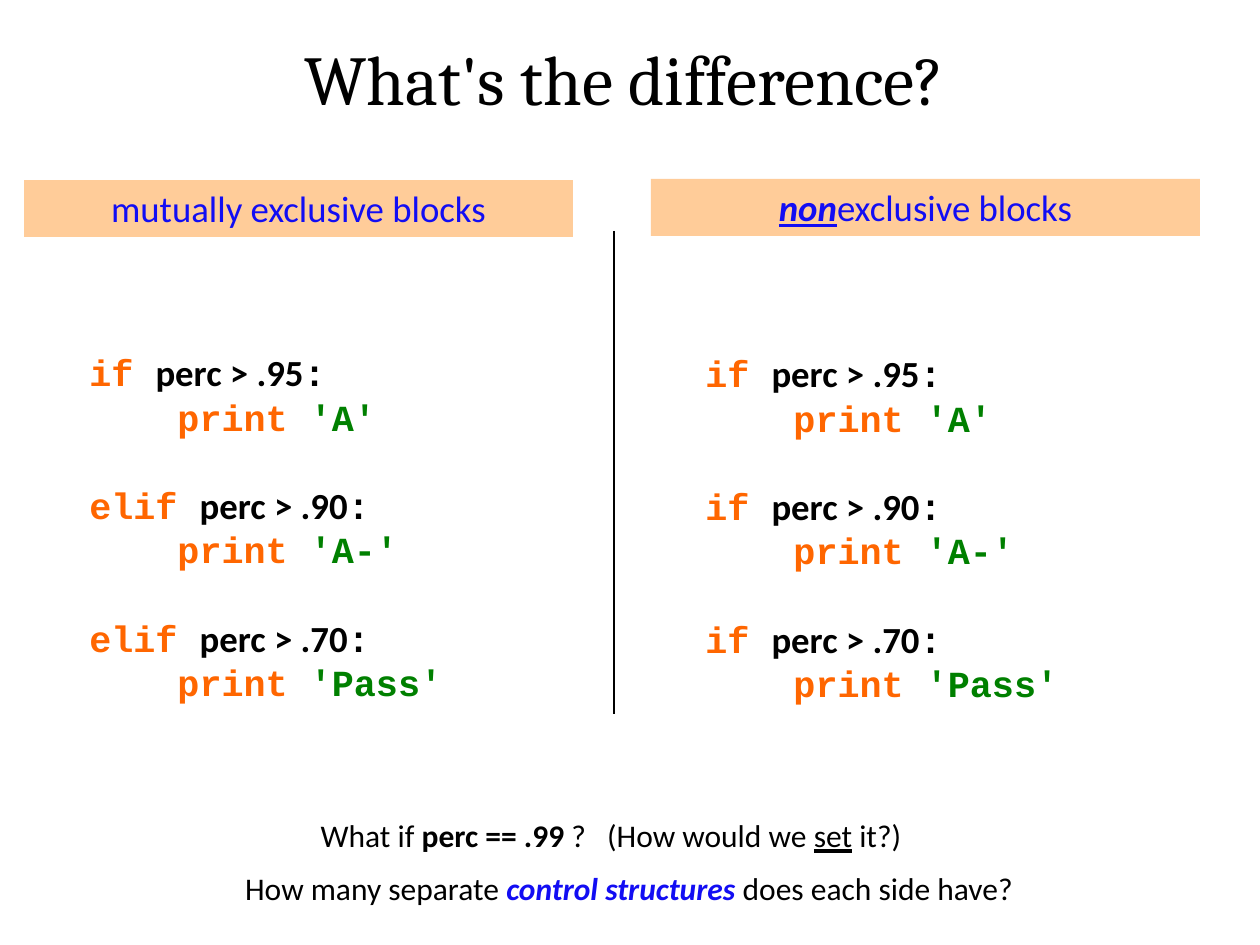
from lxml import etree
from pptx import Presentation
from pptx import util as u
from pptx.dml.color import RGBColor
from pptx.enum import shapes, text
from pptx.oxml import ns

PX_PER_INCH = 126
COLORS = {"black": "000000", "blue": "120DF3", "keyword": "FF6600",
          "string": "008000", "bar": "FFCC99"}
BODY, HEADING, CODE = "Calibri", "Cambria", "Courier New"


def px(length):
    return u.Inches(length / PX_PER_INCH)


def rgb(name):
    return RGBColor.from_string(COLORS[name])


class SlideBuilder:
    def __init__(self, deck):
        self.slide = deck.slides.add_slide(deck.slide_layouts[5])

    def style(self, font, size=None, face=None, color=None, bold=None,
              italic=None, underline=None):
        if size:
            font.size = u.Pt(size)
        if face:
            font.name = face
        if color:
            font.color.rgb = rgb(color)
        font.bold, font.italic, font.underline = bold, italic, underline

    def add_spans(self, para, spans):
        """Add (words, font changes) spans; "spacing" is in hundredths of a point."""
        for words, changes in spans:
            span = para.add_run()
            span.text = words
            changes = dict(changes)
            spacing = changes.pop("spacing", None)
            self.style(span.font, **changes)
            if spacing:
                span._r.get_or_add_rPr().set("spc", str(spacing))

    def title(self, words, left, top, width, height):
        box = self.slide.shapes.title
        box.left, box.top, box.width, box.height = map(px, (left, top, width, height))
        frame = box.text_frame
        frame.text = words
        frame.vertical_anchor = text.MSO_ANCHOR.TOP
        para = frame.paragraphs[0]
        para.alignment = text.PP_ALIGN.CENTER
        self.style(para.font, 40, HEADING, "black")

    def centered(self, frame, spans, size, color):
        frame.word_wrap = True
        frame.vertical_anchor = text.MSO_ANCHOR.TOP
        para = frame.paragraphs[0]
        para.alignment = text.PP_ALIGN.CENTER
        self.style(para.font, size, BODY, color)
        self.add_spans(para, spans)

    def bar(self, spans, left, top, width=549, height=57):
        box = self.slide.shapes.add_shape(
            shapes.MSO_SHAPE.RECTANGLE, *map(px, (left, top, width, height)))
        box.shadow.inherit = False
        box.fill.solid()
        box.fill.fore_color.rgb = rgb("bar")
        box.line.fill.background()
        self.centered(box.text_frame, spans, 21, "blue")

    def question(self, spans, left, top, width=1090, height=50):
        box = self.slide.shapes.add_textbox(*map(px, (left, top, width, height)))
        self.centered(box.text_frame, spans, 18, "black")

    def code(self, branches, left, top, width=479, height=369):
        """Add each (keyword, condition, output) branch as two lines of code."""
        box = self.slide.shapes.add_textbox(*map(px, (left, top, width, height)))
        frame = box.text_frame
        frame.word_wrap = True
        for index, (keyword, condition, output) in enumerate(branches):
            test = frame.add_paragraph() if index else frame.paragraphs[0]
            if index:
                test.space_before = u.Pt(25.5)
            action = frame.add_paragraph()
            for para in (test, action):
                self.style(para.font, 21, CODE, "black", bold=True)
            self.add_spans(test, [(keyword + " ", {"color": "keyword"}),
                                  (condition, {"face": BODY}), (":", {})])
            self.add_spans(action, [("    print ", {"color": "keyword"}),
                                    (output, {"color": "string"})])

    def divider(self, x, top, bottom):
        line = self.slide.shapes.add_connector(
            shapes.MSO_CONNECTOR.STRAIGHT, *map(px, (x, top, x, bottom)))
        line.line.color.rgb = rgb("black")
        line.line.width = u.Pt(0.75)
        etree.SubElement(line._element.spPr, ns.qn("a:effectLst"))


def main():
    deck = Presentation()
    deck.slide_width, deck.slide_height = px(1260), px(945)
    builder = SlideBuilder(deck)
    builder.title("What's the difference?", 84, 29, 1081, 97)

    tests = ["perc > .95", "perc > .90", "perc > .70"]
    outputs = ["'A'", "'A-'", "'Pass'"]
    builder.code(zip(["if", "elif", "elif"], tests, outputs), 77, 344)
    builder.code(zip(["if"] * 3, tests, outputs), 693, 345)

    builder.bar([("mutually exclusive blocks", {})], 24, 180)
    builder.bar([("non", {"bold": True, "italic": True, "underline": True}),
                 ("exclusive blocks", {})], 651, 179)
    builder.divider(614, 231, 714)

    builder.question([("What if ", {}), ("perc == .99 ", {"bold": True}), ("?", {}),
                      (" ", {"spacing": 800}), ("(How would we ", {}),
                      ("set", {"underline": True}), (" it?)", {})], 66, 810)
    builder.question([("How many separate ", {}),
                      ("control structures ",
                       {"color": "blue", "bold": True, "italic": True}),
                      ("does each side have?", {})], 84, 863)
    deck.save("out.pptx")


if __name__ == "__main__":
    main()
